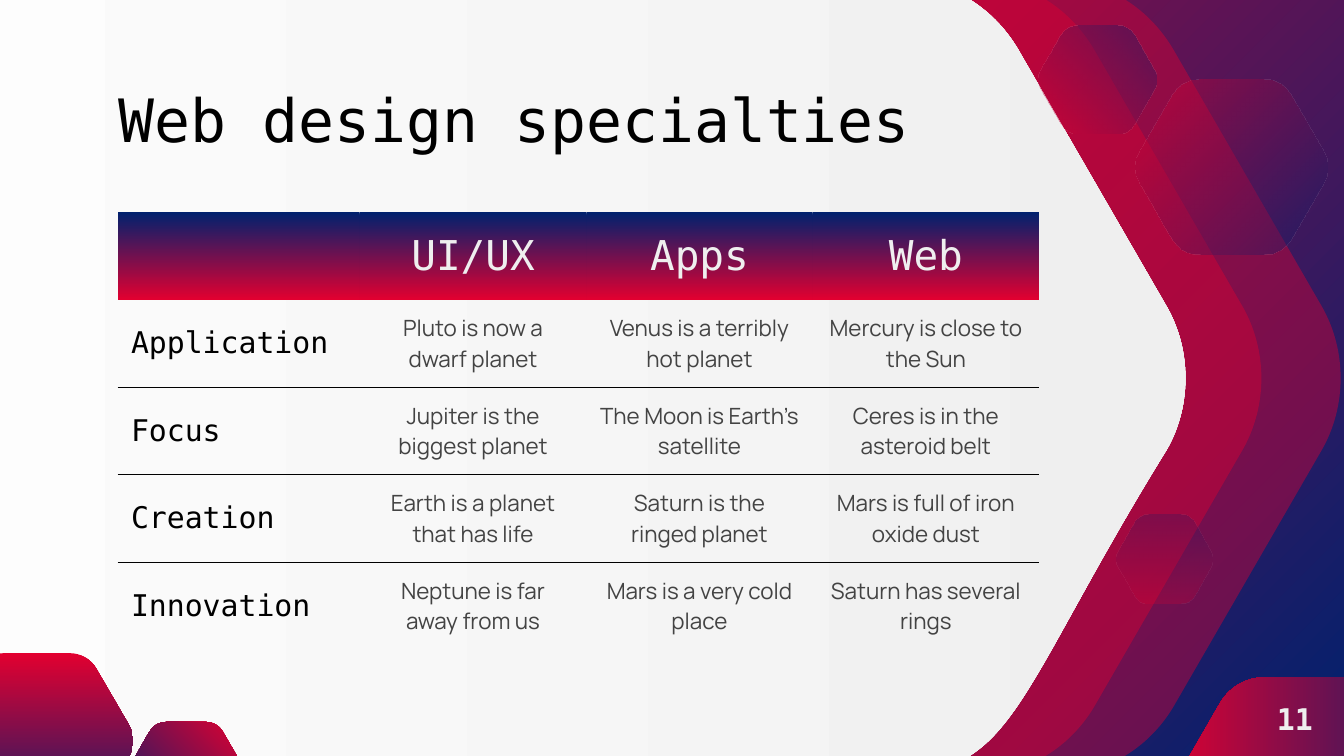
from lxml.etree import SubElement
from pptx import Presentation
from pptx.dml.color import RGBColor
from pptx.enum.text import MSO_VERTICAL_ANCHOR as Anchor, PP_PARAGRAPH_ALIGNMENT as Align
from pptx.oxml import parse_xml
from pptx.oxml.ns import nsdecls, qn
from pptx.util import Inches, Pt

# The slide is a square grid of 100 columns
COLUMNS, ROWS = 100, 56.25
UNIT = Inches(10) / COLUMNS

RED = RGBColor(0xE2, 0x00, 0x30)
NAVY = RGBColor(0x00, 0x21, 0x6E)
WHITE = RGBColor(0xFF, 0xFF, 0xFF)
PALE = RGBColor(0xEF, 0xEF, 0xEF)
BLACK = RGBColor(0x00, 0x00, 0x00)
GREY = RGBColor(0x43, 0x43, 0x43)

MONO, SANS = "DejaVu Sans Mono", "Manrope"
TITLE_FONT = {"name": MONO, "size": Pt(32), "color": BLACK}
HEADER_FONT = {"name": MONO, "size": Pt(22), "color": PALE}
TOPIC_FONT = {"name": MONO, "size": Pt(16), "color": BLACK}
FACT_FONT = {"name": SANS, "size": Pt(12), "color": GREY}
NUMBER_FONT = {"name": MONO, "size": Pt(16), "color": PALE, "bold": True}

# Rounded hexagon in percent of its box: one point is a line, three a curve
HEXAGON_START = (33.3, 0)
HEXAGON = [
    [(27.5, 0), (22.4, 3.4), (19.5, 8.9)],
    [(2.7, 41.2)],
    [(0, 46.6), (0, 53.4), (2.7, 58.8)],
    [(7.1, 66.7), (10.3, 73.1), (12.9, 78.3)],
    [(22.5, 97.6), (23.8, 100), (39.3, 100)],
    [(66.7, 99.8)],
    [(72.5, 99.8), (77.6, 96.5), (80.5, 91.1)],
    [(97.3, 58.8)],
    [(100, 53.4), (100, 46.6), (97.3, 41.2)],
    [(80.5, 8.9)],
    [(77.6, 3.4), (72.5, 0), (66.7, 0)],
]
HEXAGON_RATIO = 0.9

HEADERS = ["", "UI/UX", "Apps", "Web"]
SPECIALTIES = [
    ["Application", "Pluto is now a dwarf planet",
     "Venus is a terribly hot planet", "Mercury is close to the Sun"],
    ["Focus", "Jupiter is the biggest planet",
     "The Moon is Earth’s satellite", "Ceres is in the asteroid belt"],
    ["Creation", "Earth is a planet that has life",
     "Saturn is the ringed planet", "Mars is full of iron oxide dust"],
    ["Innovation", "Neptune is far away from us",
     "Mars is a very cold place", "Saturn has several rings"],
]
COLUMN_SPANS = [18, 16.9, 8.4, 8.4, 16.9]
TEXT_COLUMNS = [0, 1, 2, 4]  # columns 2 and 3 are merged
ROW_SPAN = 6.51
NO_STYLE = "{2D5ABB26-0587-4C30-8999-92F81FD0307C}"


def grid(*cells):
    return [round(cell * UNIT) for cell in cells]


def set_all(target, values):
    for name, value in values.items():
        setattr(target, name, value)


def paint(fill, colours, angle=0):
    """One colour gives a solid, two a gradient at a clockwise angle."""
    if len(colours) == 1:
        fill.solid()
        fill.fore_color.rgb = colours[0]
        return
    fill.gradient()
    fill.gradient_angle = -angle % 360
    for stop, colour in zip(fill.gradient_stops, colours):
        stop.color.rgb = colour


def add_hexagon(slide, left, top, width, colours, angle=0, alphas=(),
                mirror=False, flip=False, stretch=0):
    height = width * HEXAGON_RATIO

    def place(point):
        x, y = point[0] / 100 * width, point[1] / 100 * height
        x += stretch if point[0] > 50 else 0
        x = width + stretch - x if mirror else x
        return grid(left + x, top + (height - y if flip else y))

    corners = [place(point) for step in HEXAGON for point in step]
    builder = slide.shapes.build_freeform(*place(HEXAGON_START))
    builder.add_line_segments(corners, close=True)
    hexagon = builder.convert_to_shape()

    # Join each run of three points into one Bézier curve
    outline = next(hexagon._element.iter(qn("a:path")))
    lines = iter(outline.findall(qn("a:lnTo")))
    for step in HEXAGON:
        run = [next(lines) for _ in step]
        if len(run) == 3:
            curve = parse_xml(f"<a:cubicBezTo {nsdecls('a')}/>")
            run[0].addprevious(curve)
            for line in run:
                curve.append(line[0])
                outline.remove(line)

    hexagon.shadow.inherit = False
    hexagon.line.fill.background()
    paint(hexagon.fill, colours, angle)
    tints = hexagon._element.spPr.iter(qn("a:srgbClr"))
    for tint, alpha in zip(list(tints), alphas):
        SubElement(tint, qn("a:alpha"), val=str(alpha * 1000))


def write(frame, text, font, align):
    paragraph = frame.paragraphs[0]
    paragraph.alignment = align
    run = paragraph.add_run()
    run.text = text
    values = dict(font)
    run.font.color.rgb = values.pop("color")
    set_all(run.font, values)


def add_text(slide, box, text, font, align=Align.LEFT):
    frame = slide.shapes.add_textbox(*grid(*box)).text_frame
    margins = {f"margin_{side}": Inches(0.1) for side in ("left", "top", "right", "bottom")}
    set_all(frame, {"word_wrap": True, "vertical_anchor": Anchor.MIDDLE, **margins})
    write(frame, text, font, align)


def add_borders(cell, sides):
    """Draw thin black rules on the given sides and none on the others."""
    for index, side in enumerate("LRTB"):
        paint_xml = '<a:solidFill><a:srgbClr val="000000"/></a:solidFill>'
        if side not in sides:
            paint_xml = "<a:noFill/>"
        rule = f'<a:ln{side} {nsdecls("a")} w="{Pt(0.75)}">{paint_xml}</a:ln{side}>'
        cell._tc.get_or_add_tcPr().insert(index, parse_xml(rule))


def add_specialties(slide, left, top):
    rows = [HEADERS] + SPECIALTIES
    box = grid(left, top, sum(COLUMN_SPANS), ROW_SPAN * len(rows))
    table = slide.shapes.add_table(len(rows), len(COLUMN_SPANS), *box).table
    set_all(table, {"first_row": False, "horz_banding": False})
    table._tbl.tblPr.find(qn("a:tableStyleId")).text = NO_STYLE
    for column, span in zip(table.columns, COLUMN_SPANS):
        column.width = grid(span)[0]

    for r, texts in enumerate(rows):
        table.rows[r].height = grid(ROW_SPAN)[0]
        table.cell(r, 2).merge(table.cell(r, 3))
        sides = ("T" if r > 1 else "") + ("B" if 0 < r < len(rows) - 1 else "")
        for c in range(len(COLUMN_SPANS)):
            cell = table.cell(r, c)
            if r == 0:
                paint(cell.fill, [NAVY, RED], 90)
            else:
                cell.fill.background()
            add_borders(cell, sides)

        for c, text in zip(TEXT_COLUMNS, texts):
            cell = table.cell(r, c)
            font = HEADER_FONT if r == 0 else FACT_FONT if c else TOPIC_FONT
            set_all(cell, {
                "vertical_anchor": Anchor.MIDDLE,
                "margin_left": Inches(0.1 if r else 0),
                "margin_right": Inches(0.1 if r and c else 0),
                "margin_top": 0,
                "margin_bottom": 0,
            })
            if text:
                write(cell.text_frame, text, font, Align.CENTER if c else Align.LEFT)


def main():
    deck = Presentation()
    deck.slide_width, deck.slide_height = grid(COLUMNS, ROWS)
    slide = deck.slides.add_slide(deck.slide_layouts[6])
    paint(slide.background.fill, [RED, NAVY], 45)

    # Layered panels
    for left in (34.1, 28.2):
        add_hexagon(slide, left, -1.6, 66.1, [RED], alphas=[41])
    add_hexagon(slide, -19.15, -1.6, 66.1, [WHITE, PALE], mirror=True, stretch=41.7)

    # Small hexagons in the corners and on the right
    add_hexagon(slide, 86.1, 50.4, 24, [RED, NAVY])
    add_hexagon(slide, 84.4, 5.9, 14.5, [RED, NAVY], 45, [41, 40])
    add_hexagon(slide, 77.2, 1.9, 8.9, [RED, NAVY], 315, [43, 40], flip=True)
    add_hexagon(slide, 83, 38.3, 7.3, [NAVY, RED], 90, [22, 23])
    add_hexagon(slide, -4.5, 48.6, 14.5, [RED, NAVY], 90)
    add_hexagon(slide, 9.4, 53.7, 8.9, [RED, NAVY], 135, flip=True)

    # Title, table and page number
    add_text(slide, (7.85, 5.9, 84.4, 5.9), "Web design specialties", TITLE_FONT)
    add_specialties(slide, 8.75, 15.8)
    add_text(slide, (92.7, 50.4, 7.3, 6.2), "11", NUMBER_FONT, Align.CENTER)

    deck.save("out.pptx")


if __name__ == "__main__":
    main()
